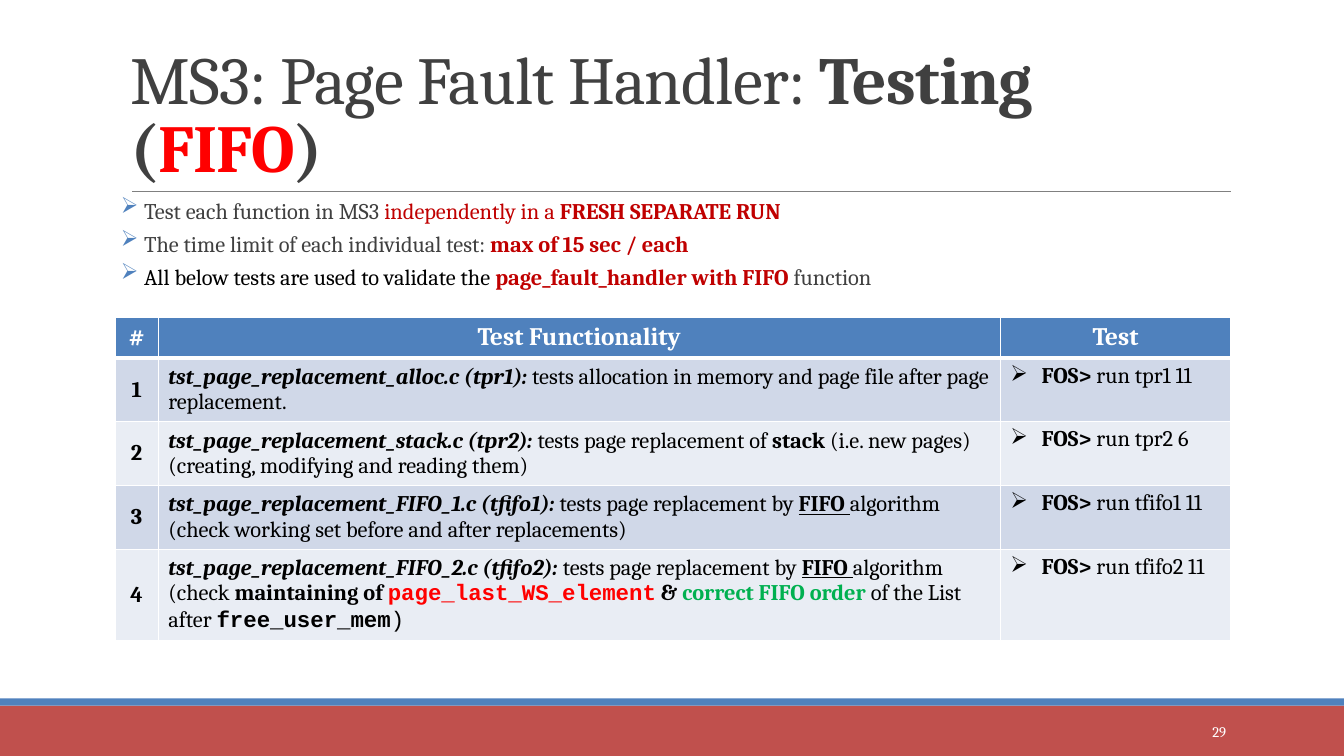
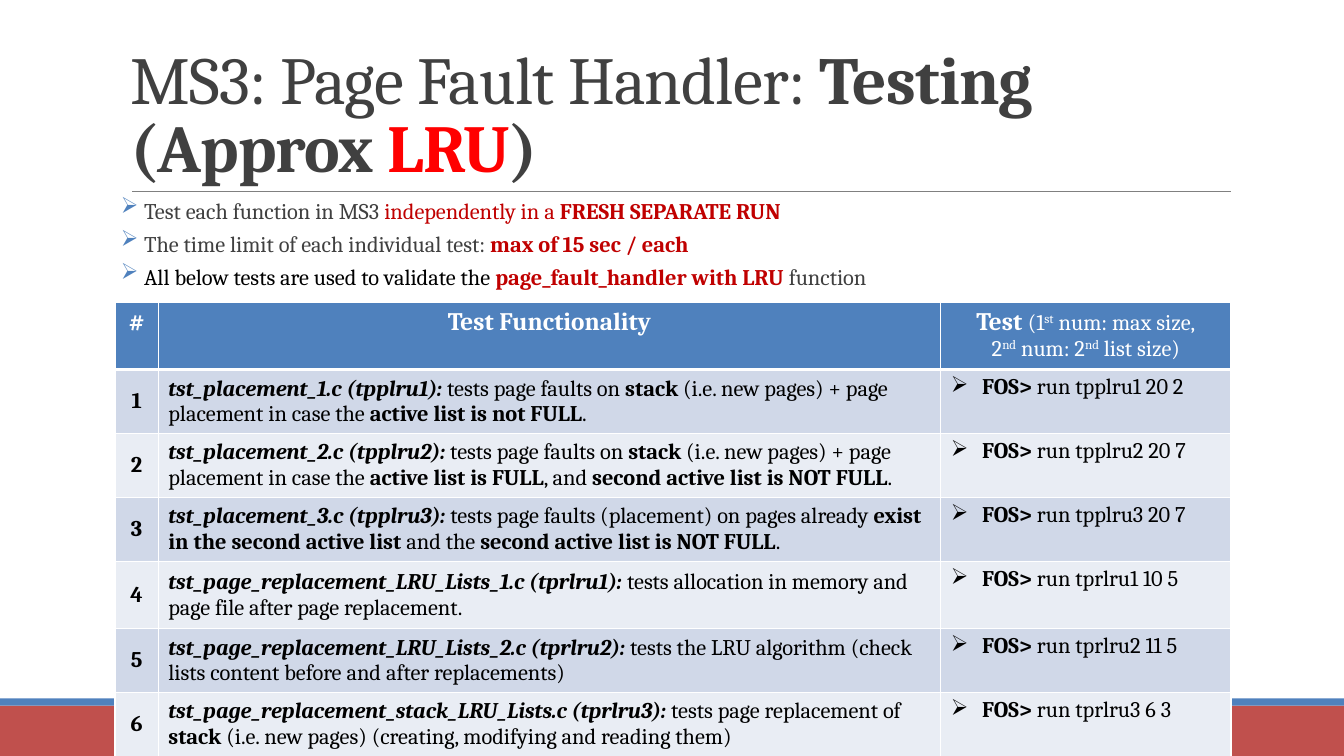
from lxml import etree
from pptx import Presentation
from pptx.dml.color import RGBColor as Rgb
from pptx.enum.shapes import MSO_CONNECTOR as Conn, MSO_SHAPE as Shape
from pptx.enum.text import MSO_ANCHOR as Anchor, PP_ALIGN as Align
from pptx.oxml.ns import qn
from pptx.util import Inches, Pt

COL = {
    "page": "FFFFFF", "band": "C0504D", "blue": "4F81BD", "rule": "808080",
    "text": "404040", "black": "000000", "dark": "C00000", "red": "FF0000",
    "green": "00B050", "odd": "D0D8E8", "even": "E9EDF4",
}
FONT, MONO = "Cambria", "Courier New"

# Run formats
BOLD = {"bold": True}
UNDER = {"bold": True, "under": True}
WARN = {"bold": True, "color": "dark"}
CODE = {"bold": True, "font": MONO}
SUP = {"base": 30000}


def put(par, text, size=16, color="black", font=FONT, bold=False,
        ital=False, under=False, base=None, space=None):
    """Add one run of text in the given format."""
    run = par.add_run()
    run.text = text
    face = run.font
    face.size, face.name = Pt(size), font
    face.bold, face.italic, face.underline = bold, ital, under
    face.color.rgb = Rgb.from_string(COL[color])
    props = face._element
    if base:
        props.set("baseline", str(base))
    if space:
        props.set("spc", str(space))


def fill(par, runs, **base):
    """Add runs, each a string or a (string, format) pair."""
    for item in runs:
        text, form = (item, {}) if isinstance(item, str) else item
        put(par, text, **{**base, **form})


def bullet(par, gap, color):
    props = par._p.get_or_add_pPr()
    props.set("marL", str(Inches(gap)))
    props.set("indent", str(-Inches(gap)))
    tint = etree.SubElement(props, qn("a:buClr"))
    etree.SubElement(tint, qn("a:srgbClr"), val=COL[color])
    etree.SubElement(props, qn("a:buChar"), char="➢")


def frame(slide, box, anchor=Anchor.TOP, side=0.1):
    text = slide.shapes.add_textbox(*map(Inches, box)).text_frame
    text.word_wrap = True
    text.vertical_anchor = anchor
    text.margin_left = text.margin_right = Inches(side)
    return text


def band(slide, box, color):
    bar = slide.shapes.add_shape(Shape.RECTANGLE, *map(Inches, box))
    bar.shadow.inherit = False
    bar.fill.solid()
    bar.fill.fore_color.rgb = Rgb.from_string(COL[color])
    bar.line.fill.background()


def base(deck):
    """New slide with the shared bands and title rule."""
    slide = deck.slides.add_slide(deck.slide_layouts[6])
    band(slide, (0, 7, 13.33, 0.5), "band")
    band(slide, (0, 6.93, 13.33, 0.07), "blue")
    rule = slide.shapes.add_connector(
        Conn.STRAIGHT, Inches(1.31), Inches(1.9), Inches(12.21), Inches(1.9))
    rule.line.color.rgb = Rgb.from_string(COL["rule"])
    rule.line.width = Pt(0.5)
    etree.SubElement(rule._element.spPr, qn("a:effectLst"))
    return slide


def title(slide, box, lead, key):
    par = frame(slide, box, Anchor.BOTTOM).paragraphs[0]
    par.line_spacing = 0.85
    fill(par, ["MS3: Page Fault Handler: ", (f"Testing ({lead}", BOLD),
               (key, {"bold": True, "color": "red"}), (")", BOLD)],
         size=48, color="text", space=-50)


def notes(slide, box, key):
    """The three rules that hold for every test."""
    lines = [
        ["Test each function in MS3 ", ("independently in a ", {"color": "dark"}),
         ("FRESH SEPARATE RUN", WARN)],
        ["The time limit of each individual test: ", ("max of 15 sec / each", WARN)],
        [("All below tests are used to validate the ", {"color": "black"}),
         (f"page_fault_handler with {key} ", WARN), "function"],
    ]
    text = frame(slide, box, side=0)
    for num, runs in enumerate(lines):
        par = text.add_paragraph() if num else text.paragraphs[0]
        par.line_spacing = 0.5
        par.space_before, par.space_after = Pt(12), Pt(2)
        bullet(par, 0.23, "blue")
        fill(par, runs, color="text")


def paint(cell, color, foot=1):
    """Fill a cell and give it white borders."""
    cell.fill.solid()
    cell.fill.fore_color.rgb = Rgb.from_string(COL[color])
    props = cell._tc.get_or_add_tcPr()
    for spot, (side, width) in enumerate(
            [("L", 1), ("R", 1), ("T", 1), ("B", foot)]):
        edge = etree.Element(qn(f"a:ln{side}"), w=str(Pt(width)))
        ink = etree.SubElement(edge, qn("a:solidFill"))
        etree.SubElement(ink, qn("a:srgbClr"), val=COL["page"])
        props.insert(spot, edge)


def grid(slide, left, top, cols, rows, last, tests):
    """Table of tests; last holds the paragraphs of the last heading."""
    table = slide.shapes.add_table(
        len(rows), len(cols), Inches(left), Inches(top),
        Inches(sum(cols)), Inches(sum(rows))).table
    for col, wide in zip(table.columns, cols):
        col.width = Inches(wide)
    for row, high in zip(table.rows, rows):
        row.height = Inches(high)

    # Heading row
    for num, lines in enumerate([[["#"]], [["Test Functionality"]], last]):
        cell = table.cell(0, num)
        paint(cell, "blue", foot=3)
        text = cell.text_frame
        for spot, runs in enumerate(lines):
            par = text.add_paragraph() if spot else text.paragraphs[0]
            par.alignment = Align.CENTER
            fill(par, runs, size=18, color="page", bold=True)

    # One row for each test
    for num, (name, cmd, args, about) in enumerate(tests, 1):
        cells = [table.cell(num, col) for col in range(3)]
        for cell in cells:
            paint(cell, "odd" if num % 2 else "even")
        for cell in cells[:2]:
            cell.vertical_anchor = Anchor.MIDDLE
        mark, desc, call = [cell.text_frame.paragraphs[0] for cell in cells]
        mark.alignment = Align.CENTER
        put(mark, str(num), bold=True)
        put(desc, f"tst_{name}.c ({cmd}): ", bold=True, ital=True)
        fill(desc, about)
        bullet(call, 0.31, "black")
        fill(call, [("FOS>", BOLD), f" run {cmd} {args}"])


def page(deck, lead, key, top, cols, rows, last, tests, num=None):
    slide = base(deck)
    title(slide, (1.2, 0.31, 11, 1.59), lead, key)
    notes(slide, (1.2, 2.02, 11, 1), key)
    grid(slide, 1.14, top, cols, rows, last, tests)
    if num:
        par = frame(slide, (10.83, 7.06, 1.43, 0.4), Anchor.MIDDLE).paragraphs[0]
        par.alignment = Align.RIGHT
        put(par, num, size=10.5, color="page")


# Wording that several tests share
ALLOC = ["tests allocation in memory and page file after page replacement."]
STACK = ["tests page replacement of ", ("stack", BOLD),
         " (i.e. new pages) (creating, modifying and reading them)"]
FIFO = ["tests page replacement by ", ("FIFO ", UNDER)]
FAULT = ["tests page faults on ", ("stack", BOLD),
         " (i.e. new pages) + page placement in case the "]
SECOND = [("second active list is NOT FULL", BOLD), "."]

FIFO_TESTS = [
    ("page_replacement_alloc", "tpr1", "11", ALLOC),
    ("page_replacement_stack", "tpr2", "6", STACK),
    ("page_replacement_FIFO_1", "tfifo1", "11",
     FIFO + ["algorithm (check working set before and after replacements)"]),
    ("page_replacement_FIFO_2", "tfifo2", "11",
     FIFO + ["algorithm (check ", ("maintaining of ", BOLD),
             ("page_last_WS_element", {**CODE, "color": "red"}), (" & ", BOLD),
             ("correct FIFO order ", {"bold": True, "color": "green"}),
             "of the List after ", ("free_user_mem", CODE), (")", {"font": MONO})]),
]
LRU_TESTS = [
    ("placement_1", "tpplru1", "20 2",
     FAULT + [("active list is not FULL", BOLD), "."]),
    ("placement_2", "tpplru2", "20 7",
     FAULT + [("active list is FULL", BOLD), ", and "] + SECOND),
    ("placement_3", "tpplru3", "20 7",
     ["tests page faults (placement) on pages already ",
      ("exist in the second active list", BOLD), " and the "] + SECOND),
    ("page_replacement_LRU_Lists_1", "tprlru1", "10 5", ALLOC),
    ("page_replacement_LRU_Lists_2", "tprlru2", "11 5",
     ["tests the LRU algorithm (check lists content before and after replacements)"]),
    ("page_replacement_stack_LRU_Lists", "tprlru3", "6 3", STACK),
]
SMALL = {"size": 16, "bold": False}
RAISED = {**SMALL, **SUP}
LRU_HEAD = [
    ["Test ", ("(1", SMALL), ("st", RAISED), (" num: max size,", SMALL)],
    [("2", SMALL), ("nd", RAISED), (" num: 2", SMALL), ("nd", RAISED),
     (" list size)", SMALL)],
]


def main():
    deck = Presentation()
    deck.slide_width, deck.slide_height = Inches(13.33), Inches(7.5)
    page(deck, "", "FIFO", 3.15, [0.43, 8.35, 2.29],
         [0.39, 0.61, 0.61, 0.61, 0.88], [["Test"]], FIFO_TESTS, num="29")
    page(deck, "Approx ", "LRU", 3, [0.43, 7.76, 2.88],
         [0.64, 0.61, 0.61, 0.61, 0.67, 0.61, 0.61], LRU_HEAD, LRU_TESTS)
    deck.save("out.pptx")


if __name__ == "__main__":
    main()
